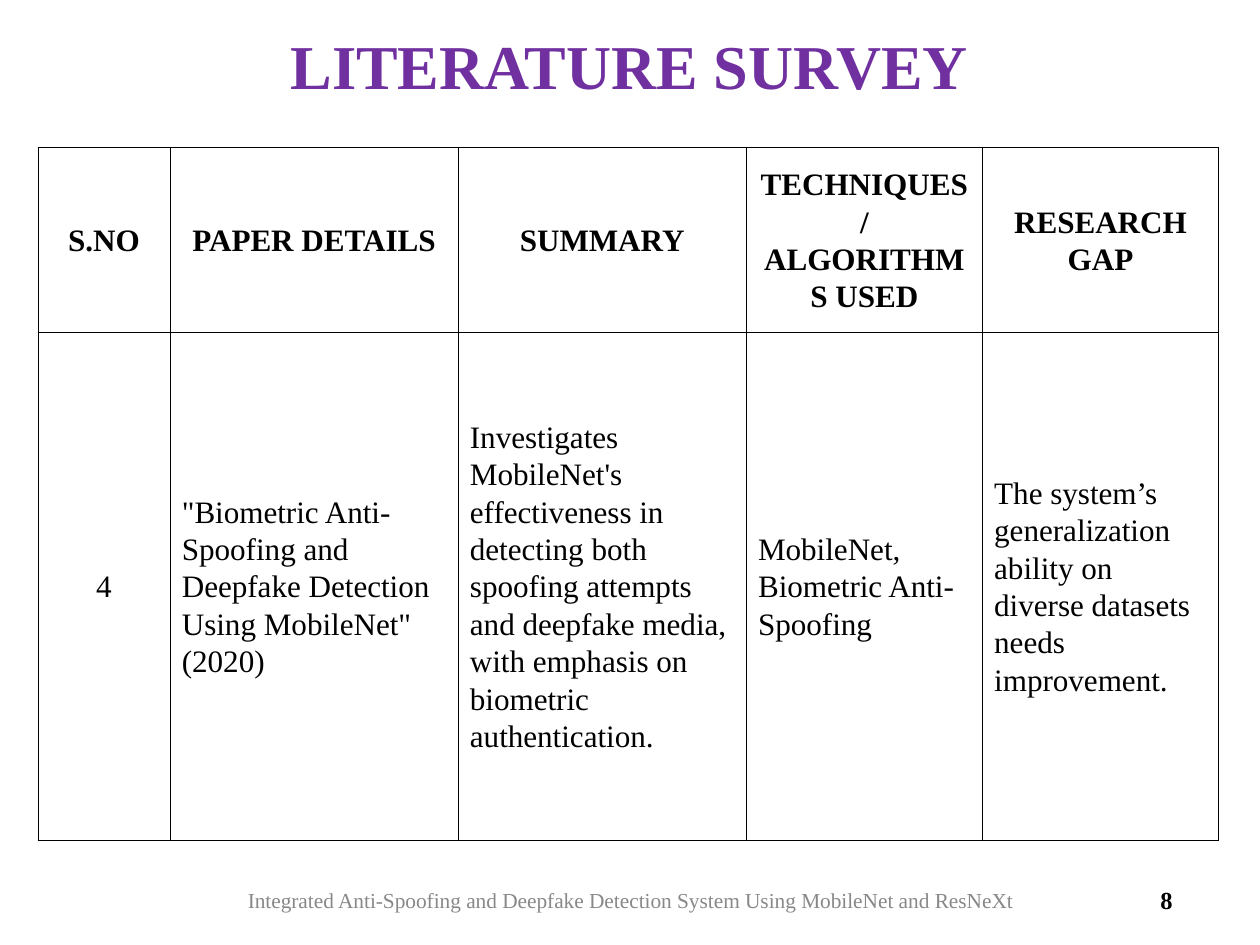
from dataclasses import dataclass

import pptx
import pptx.dml.color
import pptx.enum.text
import pptx.oxml
import pptx.oxml.ns
import pptx.util

Inches, Pt = pptx.util.Inches, pptx.util.Pt
ALIGN = pptx.enum.text.PP_ALIGN
MIDDLE = pptx.enum.text.MSO_ANCHOR.MIDDLE
FONT = "Times New Roman"
COLORS = {"title": "7030A0", "text": "000000", "footer": "888888", "cell": "FFFFFF"}


@dataclass
class Style:
    size: float
    spacing: float
    color: str = "text"
    bold: bool = False
    align: ALIGN = ALIGN.CENTER


@dataclass
class Label:
    text: str
    box: tuple[float, float, float, float]
    style: Style


TITLE = Label("LITERATURE SURVEY", (0.73, 0.16, 9.2, 0.83), Style(38, 41, "title", True))
FOOTERS = [
    Label("8", (7.53, 7.39, 2.4, 0.45), Style(14.9, 17.9, bold=True, align=ALIGN.RIGHT)),
    Label("Integrated Anti-Spoofing and Deepfake Detection System Using MobileNet and ResNeXt",
          (1.36, 7.39, 7.95, 0.45), Style(13, 15.6, "footer")),
]
HEADER = Style(19, 22.8, bold=True)
NUMBER = Style(19, 22.8)
BODY = Style(19, 22.8, align=ALIGN.LEFT)
COL_WIDTHS = [1.12, 2.44, 2.44, 2, 2]
ROW_HEIGHTS = [1.56, 4.3]
ROWS = [
    ["S.NO", "PAPER DETAILS", "SUMMARY", "TECHNIQUES/ALGORITHMS USED", "RESEARCH GAP"],
    ["4",
     "\"Biometric Anti-Spoofing and Deepfake Detection Using MobileNet\" (2020)",
     "Investigates MobileNet's effectiveness in detecting both spoofing attempts "
     "and deepfake media, with emphasis on biometric authentication.",
     "MobileNet, Biometric Anti-Spoofing",
     "The system’s generalization ability on diverse datasets needs improvement."],
]


def rgb(name: str) -> pptx.dml.color.RGBColor:
    return pptx.dml.color.RGBColor.from_string(COLORS[name])


def write(tf, text: str, style: Style) -> None:
    tf.word_wrap = True
    p = tf.paragraphs[0]
    p.alignment, p.line_spacing = style.align, Pt(style.spacing)
    p.space_before = Pt(0)
    r = p.add_run()
    r.text = text
    values = {"name": FONT, "size": Pt(style.size), "bold": style.bold}
    for name, value in values.items():
        setattr(r.font, name, value)
    r.font.color.rgb = rgb(style.color)


def place(sp, label: Label) -> None:
    for name, value in zip(("left", "top", "width", "height"), label.box):
        setattr(sp, name, Inches(value))
    tf = sp.text_frame
    tf.auto_size = pptx.enum.text.MSO_AUTO_SIZE.NONE
    tf.vertical_anchor = MIDDLE
    for side in ("left", "top", "right", "bottom"):
        setattr(tf, f"margin_{side}", 0)
    write(tf, label.text, label.style)


def add_borders(cell) -> None:
    tc_pr = cell._tc.get_or_add_tcPr()
    for i, side in enumerate("LRTB"):
        line = pptx.oxml.parse_xml(
            f'<a:ln{side} {pptx.oxml.ns.nsdecls("a")} w="{Pt(0.37)}"><a:solidFill>'
            f'<a:srgbClr val="{COLORS["text"]}"/></a:solidFill></a:ln{side}>')
        tc_pr.insert(i, line)


def fill_cell(cell, text: str, style: Style) -> None:
    cell.fill.solid()
    cell.fill.fore_color.rgb = rgb("cell")
    cell.vertical_anchor = MIDDLE
    for side in ("left", "top", "right", "bottom"):
        setattr(cell, f"margin_{side}", Inches(0.1))
    write(cell.text_frame, text, style)
    add_borders(cell)


def add_survey_table(s) -> None:
    table = s.shapes.add_table(
        len(ROWS), len(COL_WIDTHS), Inches(0.32), Inches(1.25),
        Inches(sum(COL_WIDTHS)), Inches(sum(ROW_HEIGHTS))).table
    table.horz_banding = False
    for col, width in zip(table.columns, COL_WIDTHS):
        col.width = Inches(width)
    for row, height in zip(table.rows, ROW_HEIGHTS):
        row.height = Inches(height)
    for i, texts in enumerate(ROWS):
        for j, text in enumerate(texts):
            style = HEADER if i == 0 else NUMBER if j == 0 else BODY
            fill_cell(table.cell(i, j), text, style)


def main() -> None:
    prs = pptx.Presentation()
    prs.slide_width, prs.slide_height = Inches(10.67), Inches(8)
    s = prs.slides.add_slide(prs.slide_layouts[5])

    # Title
    place(s.shapes.title, TITLE)

    # Page number and footer
    for label in FOOTERS:
        place(s.shapes.add_textbox(0, 0, 0, 0), label)

    # Survey table
    add_survey_table(s)
    prs.save("out.pptx")


if __name__ == "__main__":
    main()
